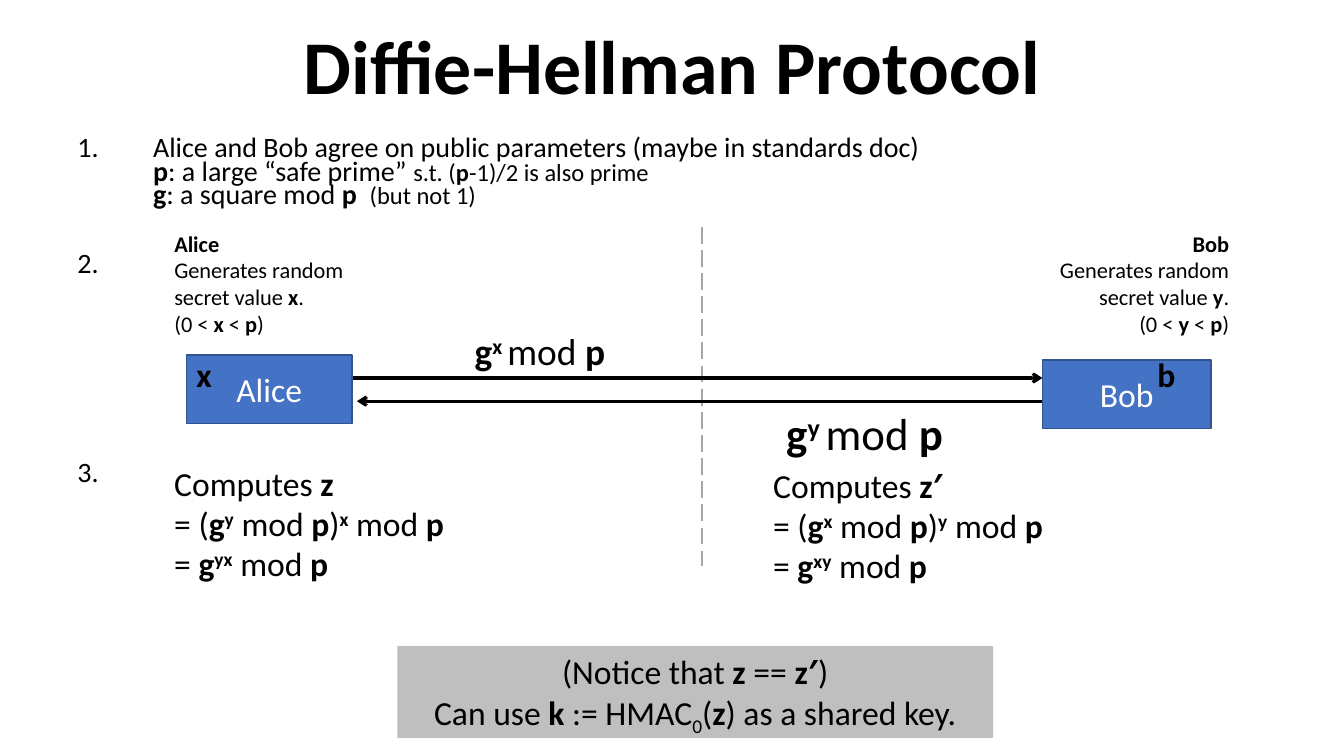
"""Build the Diffie-Hellman Protocol slide."""
from itertools import groupby

from lxml import etree
from pptx import Presentation
from pptx.dml.color import RGBColor
from pptx.enum.dml import MSO_LINE
from pptx.enum.shapes import MSO_CONNECTOR, MSO_SHAPE
from pptx.enum.text import MSO_ANCHOR, MSO_AUTO_SIZE, PP_ALIGN
from pptx.oxml.ns import qn
from pptx.util import Inches, Pt

BLACK = RGBColor(0x00, 0x00, 0x00)
WHITE = RGBColor(0xFF, 0xFF, 0xFF)
BLUE = RGBColor(0x44, 0x72, 0xC4)
DARK_BLUE = RGBColor(0x32, 0x54, 0x91)
GRAY = RGBColor(0xA6, 0xA6, 0xA6)
LIGHT_GRAY = RGBColor(0xBF, 0xBF, 0xBF)
LEFT, CENTER, RIGHT = PP_ALIGN.LEFT, PP_ALIGN.CENTER, PP_ALIGN.RIGHT


def write_runs(paragraph, markup, size, color=BLACK):
    """Add runs; * toggles bold, ^ superscript, _ subscript, ~ small size."""
    active = set()
    for mark, group in groupby(markup, lambda char: char if char in "*^_~\n" else ""):
        if mark == "\n":
            paragraph.add_line_break()
        elif mark:
            active ^= {mark}
        else:
            run = paragraph.add_run()
            run.text = "".join(group)
            run.font.name = "Calibri"
            run.font.size = Pt(17.5 if "~" in active else size)
            run.font.bold = "*" in active
            run.font.color.rgb = color
            if "^" in active:
                run.font._element.set("baseline", "30000")
            elif "_" in active:
                run.font._element.set("baseline", "-25000")


def write_lines(frame, lines, size, align, color=BLACK):
    """Fill a text frame with one paragraph per line."""
    for index, line in enumerate(lines):
        paragraph = frame.add_paragraph() if index else frame.paragraphs[0]
        paragraph.alignment = align
        write_runs(paragraph, line, size, color)


deck = Presentation()
deck.slide_width, deck.slide_height = Inches(13.33), Inches(7.5)
shapes = deck.slides.add_slide(deck.slide_layouts[6]).shapes

title = shapes.add_textbox(Inches(0.67), Inches(0.38), Inches(12), Inches(0.8)).text_frame
title.word_wrap = True
write_lines(title, ["*Diffie-Hellman Protocol*"], 54.2, CENTER)
title.paragraphs[0].line_spacing = 0.7

steps = shapes.add_textbox(Inches(0.67), Inches(1.33), Inches(12), Inches(3.6)).text_frame
steps.word_wrap = True
step_texts = [
    ("Alice and Bob agree on public parameters (maybe in standards doc)\n"
     "*p*: a large “safe prime” ~s.t. (*p*-1)/2 is also prime~\n"
     "*g*: a square mod *p * ~(but not 1)~", 0),
    (" ", 32),
    (" ", 133),
]
for index, (step_text, space_before) in enumerate(step_texts):
    step = steps.add_paragraph() if index else steps.paragraphs[0]
    step.line_spacing = 0.7
    step.space_before = Pt(space_before)
    properties = step._p.get_or_add_pPr()
    properties.set("marL", str(Inches(0.75)))
    properties.set("indent", str(-Inches(0.75)))
    etree.SubElement(properties, qn("a:buFont"), typeface="+mj-lt")
    etree.SubElement(properties, qn("a:buAutoNum"), type="arabicPeriod")
    write_runs(step, step_text, 20)

lines = [
    (6.96, 2.25, 6.96, 5.62, GRAY, 1.5),
    (3.49, 3.75, 10.34, 3.75, BLACK, 2.25),
    (10.35, 3.98, 3.54, 3.98, BLACK, 2.25),
]
for x1, y1, x2, y2, color, width in lines:
    line = shapes.add_connector(
        MSO_CONNECTOR.STRAIGHT, Inches(x1), Inches(y1), Inches(x2), Inches(y2))
    line.line.color.rgb = color
    line.line.width = Pt(width)
    if color == GRAY:
        line.line.dash_style = MSO_LINE.LONG_DASH
    else:
        etree.SubElement(line.line._get_or_add_ln(), qn("a:tailEnd"), type="arrow")
    etree.SubElement(line._element.spPr, qn("a:effectLst"))

for name, left, top, width in [("Alice", 1.85, 3.52, 1.64), ("Bob", 10.34, 3.57, 1.67)]:
    party = shapes.add_shape(
        MSO_SHAPE.RECTANGLE, Inches(left), Inches(top), Inches(width), Inches(0.68))
    party.shadow.inherit = False
    party.fill.solid()
    party.fill.fore_color.rgb = BLUE
    party.line.color.rgb = DARK_BLUE
    party.line.width = Pt(1)
    party.text_frame.vertical_anchor = MSO_ANCHOR.MIDDLE
    write_lines(party.text_frame, [name], 24, CENTER, WHITE)

labels = [
    (1.63, 2.23, 1.95, 1.18, 16, LEFT,
     ["*Alice*", "Generates random", "secret value *x*.", "(0 < *x* < *p*)"]),
    (10.39, 2.23, 1.9, 1.18, 16, RIGHT,
     ["*Bob*", "Generates random", "secret value *y*.", "(0 < *y* < *p*)"]),
    (4.61, 3.21, 1.55, 0.55, 26.7, LEFT, ["*g^x ^*mod* p*"]),
    (7.7, 3.98, 1.83, 0.64, 32, LEFT, ["*g^y ^*mod* p*"]),
    (1.85, 3.46, 0.36, 0.5, 24, LEFT, ["*x*"]),
    (11.38, 3.46, 0.38, 0.5, 24, LEFT, ["*b*"]),
    (1.63, 4.54, 3, 1.31, 24, LEFT,
     ["Computes *z*", "= (*g^y^* mod *p*)*^x^* mod *p*", "= *g^yx^* mod *p*"]),
    (7.57, 4.56, 2.93, 1.31, 24, LEFT,
     ["Computes *z′*", "= (*g^x^* mod *p*)*^y^* mod *p*", "= *g^xy^* mod *p*"]),
]
for left, top, width, height, size, align, texts in labels:
    label = shapes.add_textbox(Inches(left), Inches(top), Inches(width), Inches(height)).text_frame
    label.word_wrap = False
    label.auto_size = MSO_AUTO_SIZE.SHAPE_TO_FIT_TEXT
    write_lines(label, texts, size, align)

shared_key = shapes.add_shape(
    MSO_SHAPE.RECTANGLE, Inches(3.94), Inches(6.41), Inches(5.91), Inches(0.91))
shared_key.shadow.inherit = False
shared_key.fill.solid()
shared_key.fill.fore_color.rgb = LIGHT_GRAY
shared_key.line.fill.background()
shared_key.text_frame.vertical_anchor = MSO_ANCHOR.TOP
write_lines(
    shared_key.text_frame,
    ["(Notice that *z* == *z′*)", "Can use *k* := HMAC_0_(*z*) as a shared key."],
    24, CENTER)

deck.save("out.pptx")
